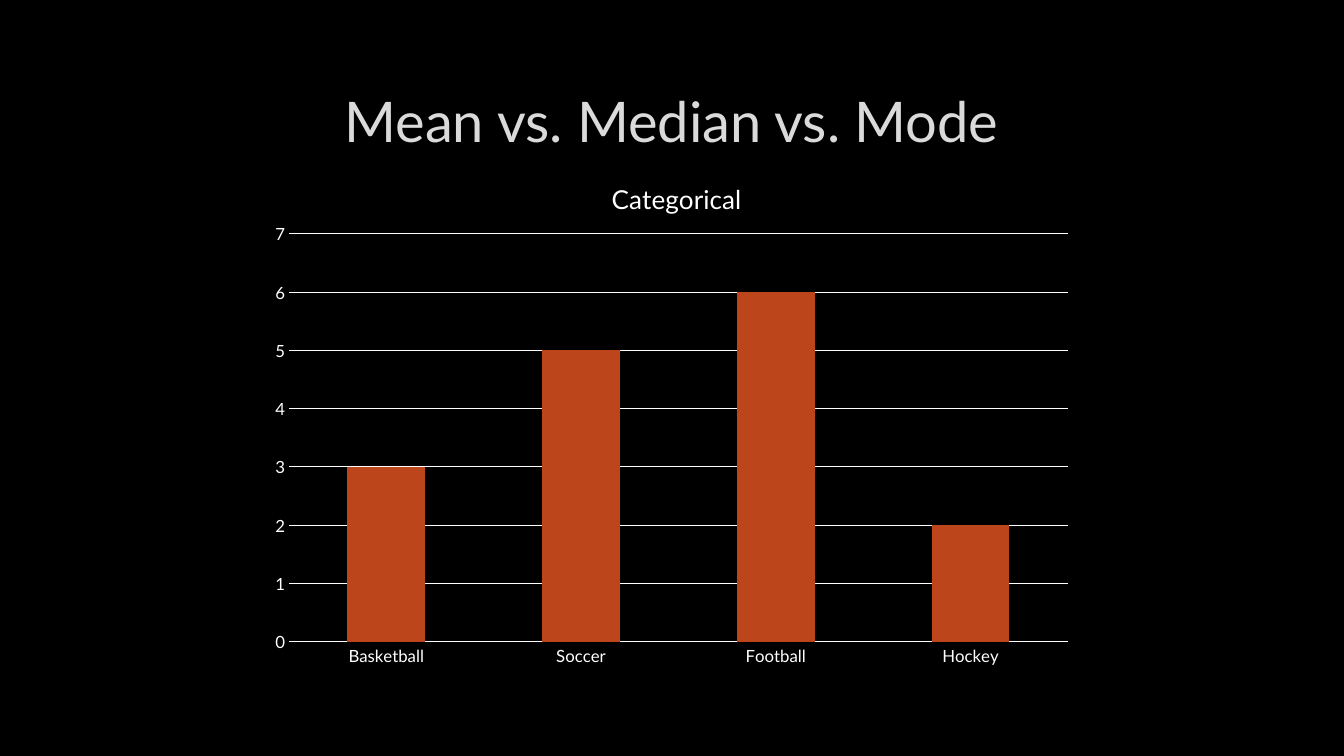
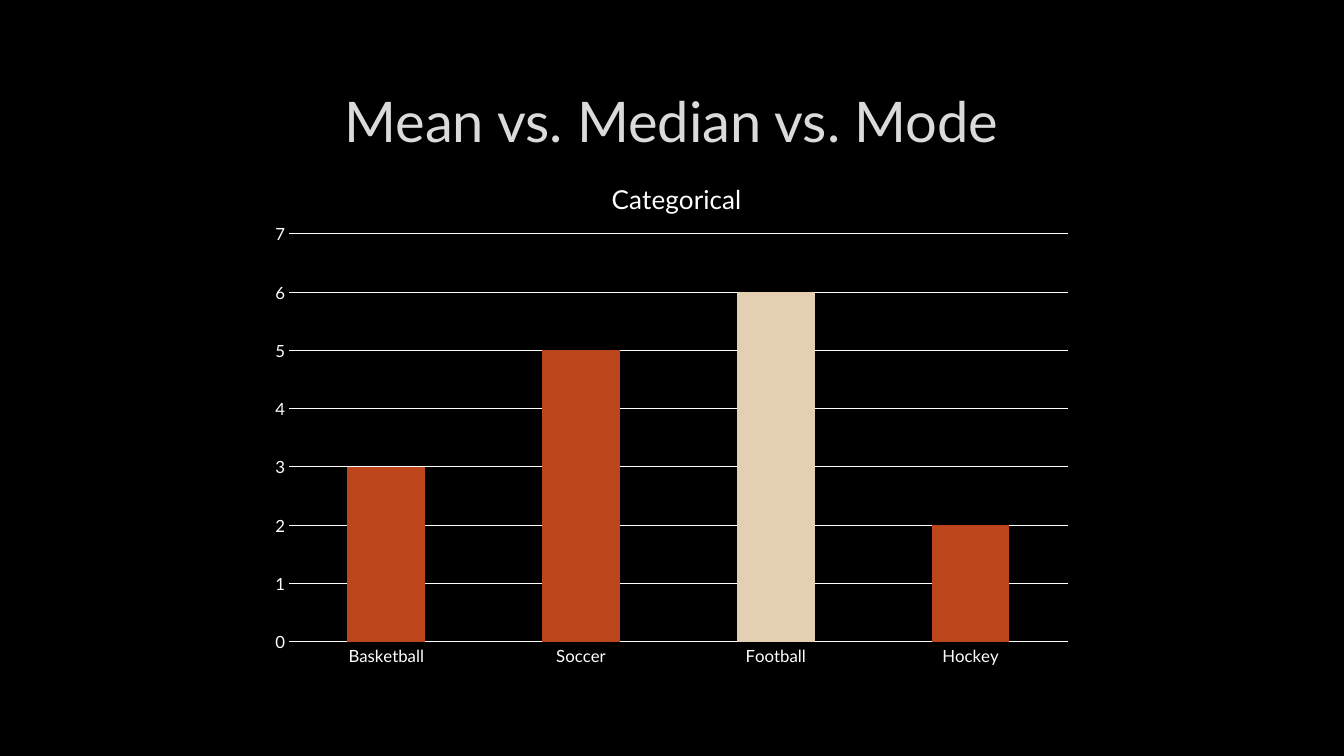
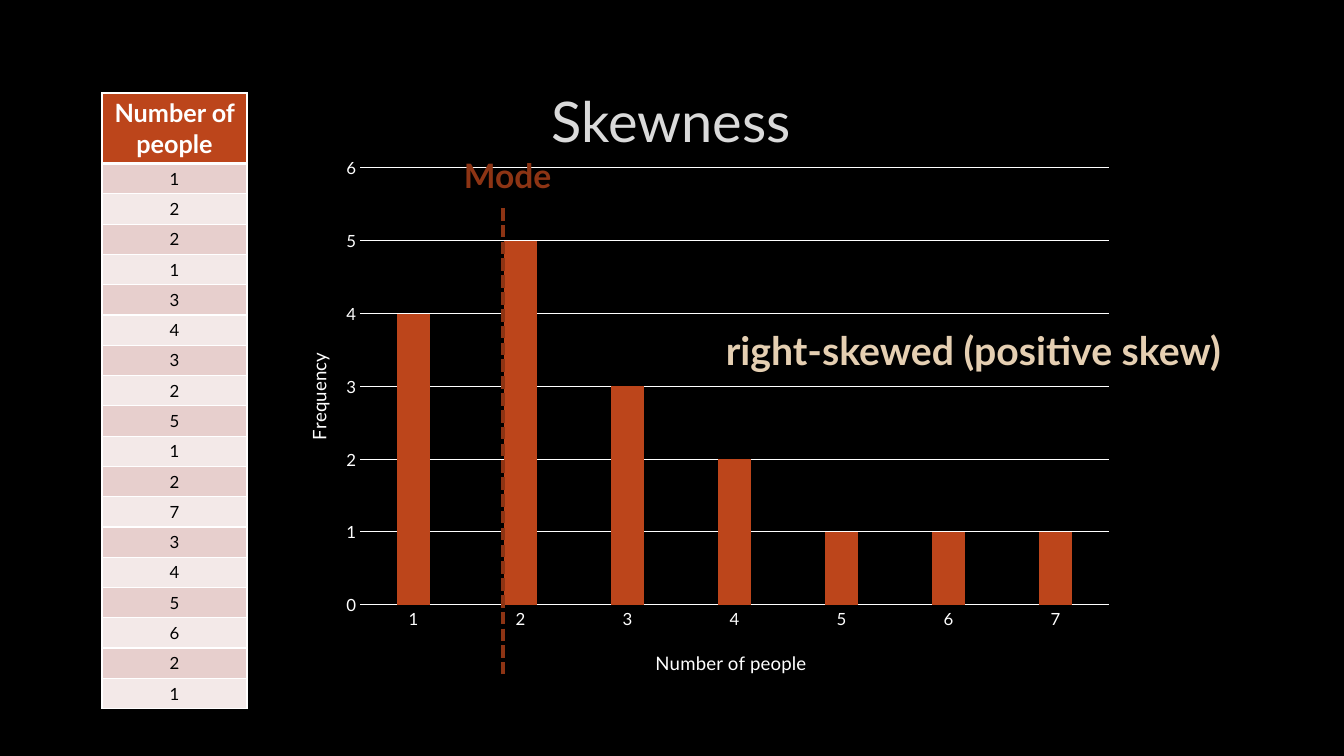
from lxml import etree
from pptx import Presentation
from pptx.chart.data import CategoryChartData
from pptx.dml.color import RGBColor
from pptx.enum.chart import XL_CHART_TYPE as ChartType, XL_TICK_MARK as Tick
from pptx.enum.dml import MSO_LINE
from pptx.enum.shapes import MSO_CONNECTOR
from pptx.enum.text import MSO_ANCHOR as Anchor, PP_ALIGN as Align
from pptx.oxml.ns import qn
from pptx.util import Emu, Pt

# Shared look
FONT = "Lato"
BLACK, WHITE, TITLE_GREY = "000000", "FFFFFF", "DADADA"
RUST, SAND, DARK_RUST = "BC451B", "E5CFB2", "8D3414"
SERIES_COLORS = [RUST, "D3BA68", "BB8640"]
BAND_COLORS = ["E7CFCD", "F3E9E8"]
SCALE = 914400 / 100.8  # EMU in one px
TITLE_AREA = (101, 67, 1141, 107)

# Content; areas are left, top, width, height in px
SPORTS = {
    "type": ChartType.COLUMN_STACKED,
    "area": (259, 151, 826, 525), "plot": (289, 234, 779, 408),
    "categories": ["Basketball", "Soccer", "Football", "Hockey"],
    "series": [[3, 5, 6, 2], [None] * 4, [None] * 4],
    "gap": 150, "overlap": 100, "maximum": 7,
    "title": ("Categorical", 607, 175),
}
PEOPLE = {
    "type": ChartType.COLUMN_CLUSTERED,
    "area": (277, 148, 849, 543), "plot": (360, 168, 749, 437),
    "categories": ["1", "2", "3", "4", "5", "6", "7"],
    "series": [[4, 5, 3, 2, 1, 1, 1]],
    "gap": 219, "overlap": -27, "maximum": 6,
    "category_title": ("Number of people", 652, 646),
    "value_title": ("Frequency", 302, 349),
}
SAMPLE_HEADER = "Number of people"
SAMPLE = [1, 2, 2, 1, 3, 4, 3, 2, 5, 1, 2, 7, 3, 4, 5, 6, 2, 1]
SAMPLE_AREA = (102, 93, 145)
HEADER_HEIGHT, ROW_HEIGHT = 70, 30
MODE_LINE = (503, 208, 503, 674)
LABELS = [
    ("right-skewed (positive skew)", (716, 321, 542, 57), 28, SAND),
    ("Mode", (454, 150, 141, 50), 24, DARK_RUST),
]


def px(*lengths):
    return [Emu(round(length * SCALE)) for length in lengths]


def rgb(value):
    return RGBColor.from_string(value)


def style_font(font, size, color=WHITE, bold=False):
    font.name, font.size, font.bold = FONT, Pt(size), bold
    font.color.rgb = rgb(color)


def write(frame, text, size, color=WHITE, bold=False, align=None):
    para = frame.paragraphs[0]
    para.alignment = align
    span = para.add_run()
    span.text = text
    style_font(span.font, size, color, bold)


def add_page(deck, title):
    page = deck.slides.add_slide(deck.slide_layouts[5])
    box = page.shapes.title
    box.left, box.top, box.width, box.height = px(*TITLE_AREA)
    box.text_frame.vertical_anchor = Anchor.MIDDLE
    write(box.text_frame, title, 40, TITLE_GREY, align=Align.CENTER)
    return page


# Charts
def set_layout(element, index, **settings):
    for old in element.findall(qn("c:layout")):
        element.remove(old)
    layout = etree.Element(qn("c:layout"))
    manual = etree.SubElement(layout, qn("c:manualLayout"))
    for name, value in settings.items():
        etree.SubElement(manual, qn("c:" + name)).set("val", str(value))
    element.insert(index, layout)


def add_heading(title, heading, area, size):
    text, x, y = heading
    write(title.text_frame, text, size)
    left, top, width, height = area
    set_layout(title._element, 1, xMode="edge", yMode="edge",
               x=round((x - left) / width, 4), y=round((y - top) / height, 4))


def add_column_chart(page, content, highlight=None):
    data = CategoryChartData()
    data.categories = content["categories"]
    for number, values in enumerate(content["series"], 1):
        data.add_series(f"Series {number}", values)
    area = content["area"]
    chart = page.shapes.add_chart(content["type"], *px(*area), data).chart
    chart.has_legend = False
    style_font(chart.font, 10)

    # Columns
    columns = chart.plots[0]
    columns.gap_width, columns.overlap = content["gap"], content["overlap"]
    columns.vary_by_categories = False
    for series, color in zip(columns.series, SERIES_COLORS):
        series.format.fill.solid()
        series.format.fill.fore_color.rgb = rgb(color)
    if highlight is not None:
        fill = columns.series[0].points[highlight].format.fill
        fill.solid()
        fill.fore_color.rgb = rgb(SAND)

    # Axes
    category_axis, value_axis = chart.category_axis, chart.value_axis
    for axis in (category_axis, value_axis):
        axis.major_tick_mark = axis.minor_tick_mark = Tick.NONE
        style_font(axis.tick_labels.font, 12)
    value_axis.minimum_scale, value_axis.major_unit = 0, 1
    value_axis.maximum_scale = content["maximum"]
    value_axis.format.line.fill.background()
    value_axis.has_major_gridlines = True
    for part in (category_axis, value_axis.major_gridlines):
        part.format.line.color.rgb = rgb(WHITE)
        part.format.line.width = Pt(0.75)

    # Titles
    chart.has_title = "title" in content
    if chart.has_title:
        add_heading(chart.chart_title, content["title"], area, 18.6)
    for axis, key in ((category_axis, "category_title"), (value_axis, "value_title")):
        if key in content:
            add_heading(axis.axis_title, content[key], area, 13.3)
    if "value_title" in content:
        body = value_axis.axis_title.text_frame._txBody.bodyPr
        body.set("rot", "-5400000")
        body.set("vert", "horz")

    # Plot area
    left, top, width, height = area
    x, y, w, h = content["plot"]
    set_layout(chart._chartSpace.chart.plotArea, 0, layoutTarget="inner",
               xMode="edge", yMode="edge",
               x=round((x - left) / width, 4), y=round((y - top) / height, 4),
               w=round(w / width, 4), h=round(h / height, 4))


# Table
def set_borders(cell, top, bottom):
    properties = cell._tc.get_or_add_tcPr()
    for side, points in (("L", 1), ("R", 1), ("T", top), ("B", bottom)):
        line = etree.SubElement(properties, qn("a:ln" + side), w=str(Pt(points)))
        fill = etree.SubElement(line, qn("a:solidFill"))
        etree.SubElement(fill, qn("a:srgbClr"), val=WHITE)


def add_sample_table(page):
    left, top, width = SAMPLE_AREA
    height = HEADER_HEIGHT + ROW_HEIGHT * len(SAMPLE)
    table = page.shapes.add_table(len(SAMPLE) + 1, 1,
                                  *px(left, top, width, height)).table
    for index, value in enumerate([SAMPLE_HEADER] + SAMPLE):
        header = index == 0
        table.rows[index].height = px(HEADER_HEIGHT if header else ROW_HEIGHT)[0]
        cell = table.cell(index, 0)
        set_borders(cell, top=3 if index == 1 else 1, bottom=3 if header else 1)
        cell.fill.solid()
        cell.fill.fore_color.rgb = rgb(RUST if header else BAND_COLORS[(index - 1) % 2])
        write(cell.text_frame, str(value), 18 if header else 12,
              WHITE if header else BLACK, bold=header, align=Align.CENTER)


# Annotations
def add_mode_line(page):
    connector = page.shapes.add_connector(MSO_CONNECTOR.STRAIGHT, *px(*MODE_LINE))
    connector.line.color.rgb = rgb(DARK_RUST)
    connector.line.width = Pt(3)
    connector.line.dash_style = MSO_LINE.SQUARE_DOT
    etree.SubElement(connector._element.spPr, qn("a:effectLst"))


def add_label(page, text, area, size, color):
    box = page.shapes.add_textbox(*px(*area))
    box.text_frame.word_wrap = True
    write(box.text_frame, text, size, color, bold=True)


def main():
    deck = Presentation()
    deck.slide_width, deck.slide_height = px(1344, 756)
    background = deck.slide_master.background.fill
    background.solid()
    background.fore_color.rgb = rgb(BLACK)

    for highlight in (None, SPORTS["categories"].index("Football")):
        page = add_page(deck, "Mean vs. Median vs. Mode")
        add_column_chart(page, SPORTS, highlight)

    page = add_page(deck, "Skewness")
    add_sample_table(page)
    add_column_chart(page, PEOPLE)
    add_mode_line(page)
    for label in LABELS:
        add_label(page, *label)
    deck.save("out.pptx")


if __name__ == "__main__":
    main()
